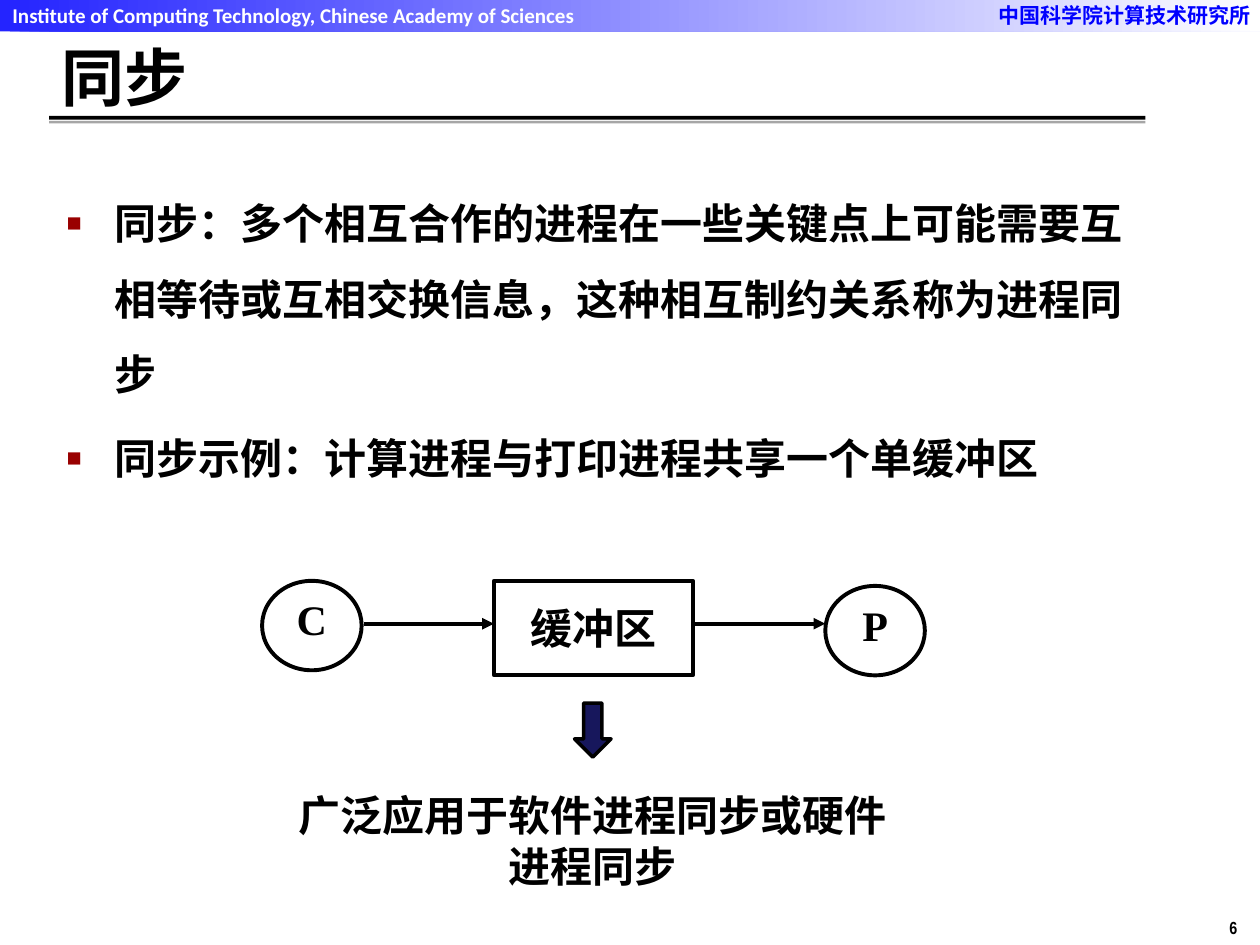
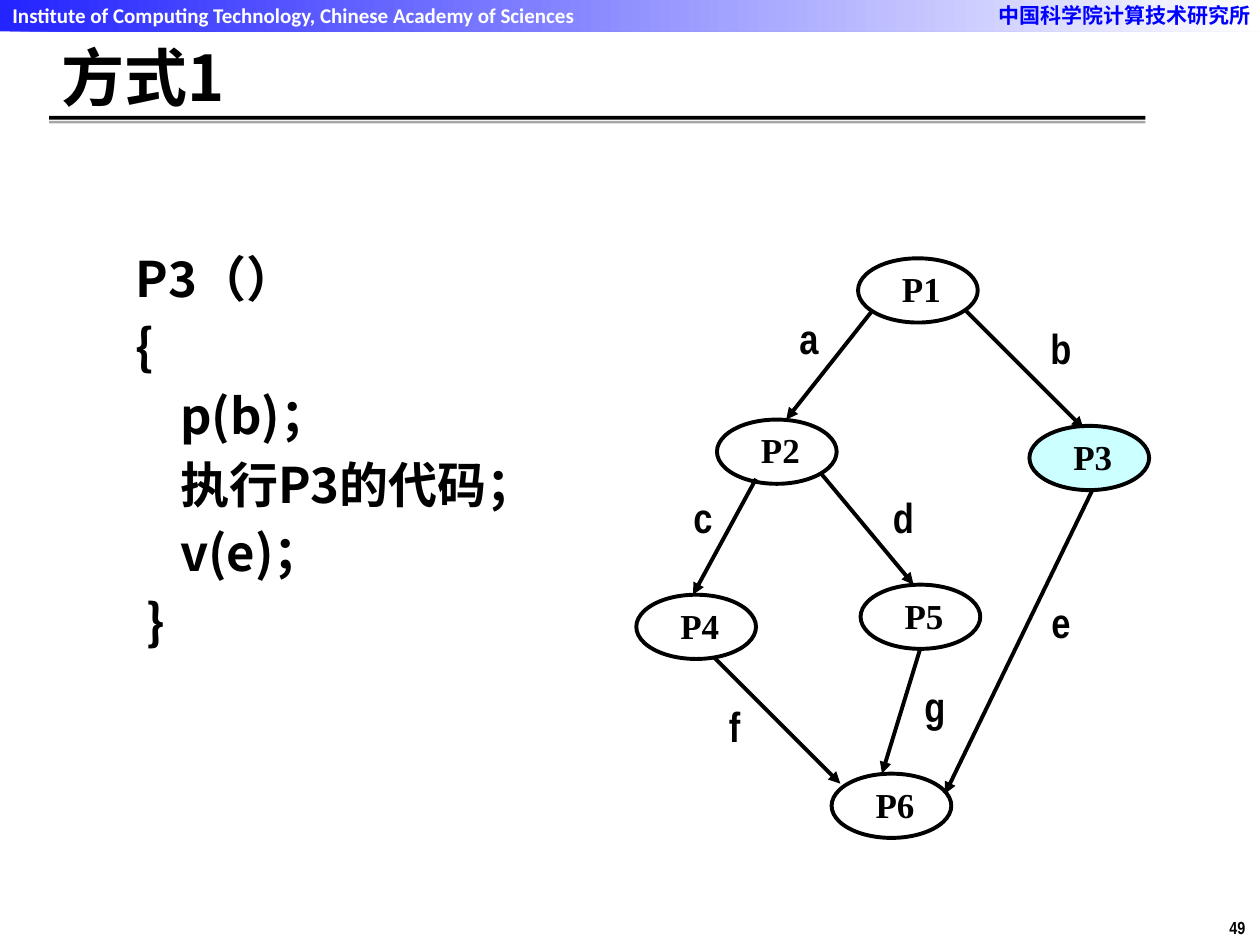
from collections import namedtuple
from dataclasses import dataclass

from lxml import etree
from pptx import Presentation
from pptx import util as u
from pptx.dml.color import RGBColor
from pptx.enum import shapes, text
from pptx.oxml.ns import qn

Inches, Pt = u.Inches, u.Pt
SHAPE, ALIGN, ANCHOR = shapes.MSO_SHAPE, text.PP_ALIGN, text.MSO_ANCHOR
Box = namedtuple("Box", "x y w h")


@dataclass(frozen=True)
class Theme:
    """Colours, fonts and sizes shared by the slides."""
    black: str = "000000"
    white: str = "FFFFFF"
    blue: str = "0000FF"
    shade: str = "A6A6A6"
    bullet: str = "990000"
    navy: str = "17175C"
    active: str = "CCFFFF"
    cjk: str = "Noto Sans CJK SC"
    band: str = "Calibri"
    serif: str = "Times New Roman"
    narrow: str = "Arial Narrow"
    title_size: int = 36
    code_size: int = 28
    body_size: int = 24
    node_size: int = 20
    band_size: int = 12
    page_size: int = 10
    line: float = 2.25


T = Theme()


def rgb(value):
    """Turn a hex string into a colour."""
    return RGBColor.from_string(value)


def sub(parent, tag, **attrs):
    """Append a DrawingML element."""
    return etree.SubElement(parent, qn(tag), attrs)


def inside(box, x, y, w, h):
    """Place a child box relative to its parent."""
    return Box(box.x + x, box.y + y, w, h)


def indent(p, left, bullet=False):
    """Set a hanging indent and an optional square bullet."""
    pPr = p._p.get_or_add_pPr()
    pPr.set("marL", str(Inches(left)))
    pPr.set("indent", str(-Inches(left)))
    if bullet:
        sub(sub(pPr, "a:buClr"), "a:srgbClr", val=T.bullet)
        sub(pPr, "a:buSzPct", val="60000")
        sub(pPr, "a:buFont", typeface="Arial")
        sub(pPr, "a:buChar", char="■")


def write(sp, lines, size, font=T.cjk, color=T.black, align=ALIGN.LEFT, anchor=ANCHOR.TOP,
          wrap=True, margins=(0.1, 0.05), hang=0, bullet=False, spacing=None):
    """Write bold paragraphs into a shape."""
    tf = sp.text_frame
    tf.word_wrap, tf.vertical_anchor = wrap, anchor
    tf.margin_left = tf.margin_right = Inches(margins[0])
    tf.margin_top = tf.margin_bottom = Inches(margins[1])
    for i, line in enumerate(lines):
        p = tf.add_paragraph() if i else tf.paragraphs[0]
        if hang:
            indent(p, hang, bullet)
        p.alignment = align
        if spacing:
            p.line_spacing = spacing
        if i:
            p.space_before = Pt(round(0.2 * size, 1))
        r = p.add_run()
        r.text = line
        r.font.size, r.font.bold, r.font.name = Pt(size), True, font
        r.font.color.rgb = rgb(color)
        sub(r._r.get_or_add_rPr(), "a:ea", typeface=font)
    return tf


def add_text(slide, box, lines, size, **style):
    """Add a text box."""
    sp = slide.shapes.add_textbox(*map(Inches, box))
    return write(sp, lines, size, **style)


def add_shape(slide, kind, box, fill=None, line=None):
    """Add a flat preset shape."""
    sp = slide.shapes.add_shape(kind, *map(Inches, box))
    sp.shadow.inherit = False
    if fill:
        sp.fill.solid()
        sp.fill.fore_color.rgb = rgb(fill)
    else:
        sp.fill.background()
    if line:
        sp.line.color.rgb, sp.line.width = rgb(T.black), Pt(line)
    else:
        sp.line.fill.background()
    return sp


def add_arrow(slide, box, x1, y1, x2, y2):
    """Add an arrow between two points of a box."""
    ends = (box.x + x1, box.y + y1, box.x + x2, box.y + y2)
    cx = slide.shapes.add_connector(shapes.MSO_CONNECTOR.STRAIGHT, *map(Inches, ends))
    cx.line.color.rgb, cx.line.width = rgb(T.black), Pt(T.line)
    sub(cx.line._get_or_add_ln(), "a:tailEnd", type="triangle")
    sub(cx._element.spPr, "a:effectLst")


def add_node(slide, box, label, size, fill=T.white, align=ALIGN.CENTER, left=0):
    """Add a labelled ellipse."""
    sp = add_shape(slide, SHAPE.OVAL, box, fill, T.line)
    tf = write(sp, [label], size, font=T.serif, align=align, margins=(0, 0))
    tf.margin_left = Inches(left)


def header(slide, box, title):
    """Draw the gradient band, the title and its rule."""
    band = add_shape(slide, SHAPE.RECTANGLE, inside(box, 0, 0, box.w, 0.25), T.blue)
    band.fill.gradient()
    band.fill.gradient_angle = 0
    for stop, color in zip(band.fill.gradient_stops, (T.blue, T.white)):
        stop.color.rgb = rgb(color)
    for clr in band._element.spPr.iter(qn("a:srgbClr")):
        sub(clr, "a:alpha", val="85000")
    add_text(slide, inside(box, 7.83, -0.03, 2.24, 0.3), ["中国科学院计算技术研究所"],
             T.band_size, color=T.blue)
    add_text(slide, inside(box, 0, -0.03, 4.75, 0.3),
             ["Institute of Computing Technology, Chinese Academy of Sciences"],
             T.band_size, font=T.band, color=T.white)
    for y, h, color in ((0.92, 0.03, T.black), (0.96, 0.02, T.shade)):
        add_shape(slide, SHAPE.RECTANGLE, inside(box, 0.39, y, 8.7, h), color)
    add_text(slide, inside(box, 0.39, 0.33, 8.68, 0.56), [title], T.title_size,
             anchor=ANCHOR.MIDDLE, hang=0.13)


def new_slide(prs, title, number):
    """Add a slide with the shared header and page number."""
    slide = prs.slides.add_slide(prs.slide_layouts[6])
    header(slide, Box(0, 0, 10, 1), title)
    add_text(slide, Box(9.66, 7.23, 0.34, 0.27), [str(number)], T.page_size,
             font=T.narrow, wrap=False)
    return slide


def buffer_diagram(slide, box):
    """Draw the two processes around the shared buffer."""
    for label, x, y in (("C", 0, 0), ("P", 4.47, 0.04)):
        add_node(slide, inside(box, x, y, 0.79, 0.71), label, T.body_size)
    for x in (0.81, 3.44):
        add_arrow(slide, box, x, 0.34, x + 1.03, 0.34)
    sp = add_shape(slide, SHAPE.RECTANGLE, inside(box, 1.84, 0, 1.58, box.h), line=T.line)
    write(sp, ["缓冲区"], T.body_size, align=ALIGN.CENTER, anchor=ANCHOR.MIDDLE, wrap=False)


def conclusion(slide, box):
    """Draw the down arrow and the statement below it."""
    add_shape(slide, SHAPE.DOWN_ARROW, inside(box, 2.37, 0, 0.29, 0.43), T.navy, 2)
    add_text(slide, inside(box, 0, 0.64, box.w, 0.91),
             ["广泛应用于软件进程同步或硬件进程同步"], T.body_size, align=ALIGN.CENTER)


def precedence_graph(slide, box):
    """Draw the process nodes and the labelled edges."""
    nodes = {"P1": (1.76, 0), "P2": (0.64, 1.28), "P3": (3.12, 1.33),
             "P4": (0, 2.67), "P5": (1.78, 2.59), "P6": (1.55, 4.09)}
    edges = {"a": ((1.87, 0.42, 1.19, 1.28), (1.12, 0.42)),
             "b": ((2.62, 0.42, 3.55, 1.35), (3.12, 0.5)),
             "c": ((0.95, 1.75, 0.45, 2.67), (0.28, 1.84)),
             "d": ((1.46, 1.7, 2.2, 2.59), (1.87, 1.84)),
             "e": ((3.62, 1.84, 2.45, 4.25), (3.12, 2.67)),
             "f": ((0.62, 3.17, 1.62, 4.17), (0.53, 3.5)),
             "g": ((2.25, 3.11, 1.95, 4.09), (2.12, 3.34))}
    for name, (x, y) in nodes.items():
        add_node(slide, inside(box, x, y, 0.95, 0.51), name, T.node_size,
                 fill=T.active if name == "P3" else T.white, align=ALIGN.LEFT, left=0.21)
    for name, (ends, (x, y)) in edges.items():
        add_arrow(slide, box, *ends)
        add_text(slide, inside(box, x, y, 0.5, 0.42), [name], T.body_size, font=T.narrow,
                 align=ALIGN.CENTER, anchor=ANCHOR.MIDDLE, wrap=False, margins=(0, 0))


def sync_slide(prs):
    """Build the slide that defines synchronisation."""
    slide = new_slide(prs, "同步", 6)
    points = ["同步：多个相互合作的进程在一些关键点上可能需要互相等待或互相交换信息，"
              "这种相互制约关系称为进程同步",
              "同步示例：计算进程与打印进程共享一个单缓冲区"]
    add_text(slide, Box(0.43, 1.32, 8.64, 5.84), points, T.body_size,
             hang=0.38, bullet=True, spacing=1.5)
    buffer_diagram(slide, Box(2.08, 4.61, 5.26, 0.75))
    conclusion(slide, Box(2.19, 5.58, 5.03, 1.55))


def method_slide(prs):
    """Build the slide with the code of P3 and its graph."""
    slide = new_slide(prs, "方式1", 49)
    code = ["P3（）", "{", "    p(b)；", "    执行P3的代码；", "    v(e)；", " }"]
    add_text(slide, Box(0.98, 1.92, 3.54, 3.8), code, T.code_size,
             align=ALIGN.JUSTIFY, hang=0.38)
    precedence_graph(slide, Box(5.05, 2.05, 4.07, 4.6))


def main():
    """Build and save the presentation."""
    prs = Presentation()
    prs.slide_width, prs.slide_height = Inches(10), Inches(7.5)
    sync_slide(prs)
    method_slide(prs)
    prs.save("out.pptx")


if __name__ == "__main__":
    main()
